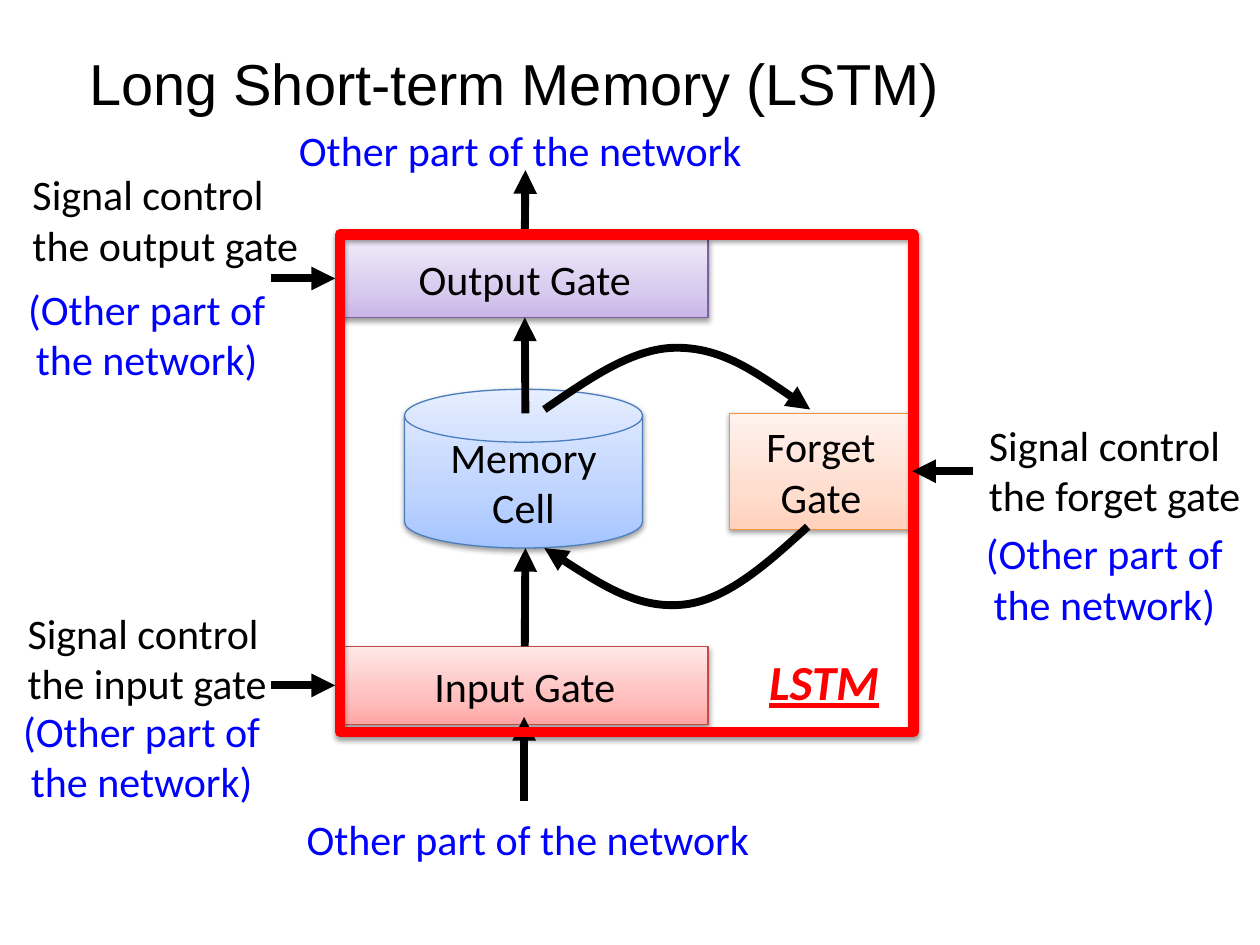
"""Build the slide on the gates and memory cell of an LSTM unit."""
import copy

import pptx
import pptx.util
from lxml import etree
from pptx.dml.color import RGBColor
from pptx.enum.shapes import MSO_CONNECTOR, MSO_SHAPE
from pptx.enum.text import MSO_ANCHOR, PP_ALIGN
from pptx.oxml import parse_xml
from pptx.oxml.ns import nsdecls, qn
from pptx.util import Inches, Pt

THEME = {
    "title_font": "Arial", "body_font": "Calibri",
    "title": Pt(33), "body": Pt(24), "label": Pt(28),
    "edge": Pt(0.75), "arrow": Pt(4.5), "frame": Pt(6),
    "black": "000000", "blue": "0000FF", "red": "FF0000",
    "cell_fill": ("A4C4FF", "BFD4FF", "E6EEFF"), "cell_line": "4B7EBC",
    "input_fill": ("FFA6A5", "FFC0BF", "FFE7E7"), "input_line": "BF4C48",
    "output_fill": ("C9B5E8", "D8CBEE", "F0EAF9"), "output_line": "7D60A0",
    "forget_fill": ("FFD2BD", "FFDED0", "FFF2ED"), "forget_line": "F69240",
}
SHADOW = (
    f'<a:effectLst {nsdecls("a")}><a:outerShdw blurRad="39370" dist="20320" dir="5400000" '
    'rotWithShape="0"><a:srgbClr val="000000"><a:alpha val="38000"/></a:srgbClr>'
    '</a:outerShdw></a:effectLst>'
)


def write(shape, text, color, size=THEME["body"], align=PP_ALIGN.CENTER, font=THEME["body_font"]):
    tf = shape.text_frame
    tf.word_wrap = True
    tf.text = text
    for p in tf.paragraphs:
        p.alignment = align
        p.font.name = font
        p.font.size = size
        p.font.color.rgb = RGBColor.from_string(color)
    return tf


def arrow_line(shape):
    shape.line.color.rgb = RGBColor.from_string(THEME["black"])
    shape.line.width = THEME["arrow"]
    ln = shape.line._get_or_add_ln()
    etree.SubElement(ln, qn("a:tailEnd"), type="triangle")
    etree.SubElement(shape._element.spPr, qn("a:effectLst"))


prs = pptx.Presentation()
prs.slide_width, prs.slide_height = Inches(10), Inches(7.5)
s = prs.slides.add_slide(prs.slide_layouts[5])

title = s.shapes.title
title.left, title.top, title.width, title.height = map(Inches, (0.48, 0.03, 9, 1.25))
tf = write(title, " Long Short-term Memory (LSTM)", THEME["black"], THEME["title"],
           PP_ALIGN.LEFT, THEME["title_font"])
tf.vertical_anchor = MSO_ANCHOR.MIDDLE

blocks = {}
for name, kind, text, box in (
    ("cell", MSO_SHAPE.FLOWCHART_MAGNETIC_DISK, "Memory\nCell", (3.21, 3.09, 1.89, 1.26)),
    ("input", MSO_SHAPE.RECTANGLE, "Input Gate", (2.71, 5.13, 2.91, 0.62)),
    ("output", MSO_SHAPE.RECTANGLE, "Output Gate", (2.71, 1.9, 2.91, 0.62)),
    ("forget", MSO_SHAPE.RECTANGLE, "Forget Gate", (5.79, 3.28, 1.45, 0.92)),
):
    sp = s.shapes.add_shape(kind, *map(Inches, box))
    sp.fill.gradient()
    sp.fill.gradient_angle = 90
    stops = sp._element.spPr.find(qn("a:gradFill")).find(qn("a:gsLst"))
    stops.insert(1, copy.deepcopy(stops[0]))
    for stop, pos, color in zip(sp.fill.gradient_stops, (0, 0.35, 1), THEME[f"{name}_fill"]):
        stop.position = pos
        stop.color.rgb = RGBColor.from_string(color)
    sp.line.color.rgb = RGBColor.from_string(THEME[f"{name}_line"])
    sp.line.width = THEME["edge"]
    sp._element.spPr.append(parse_xml(SHADOW))
    write(sp, text, THEME["black"]).vertical_anchor = MSO_ANCHOR.MIDDLE
    blocks[name] = sp

for gate, box in (
    ("input", (0.12, 4.77, 2.28, 0.91)),
    ("output", (0.16, 1.29, 2.47, 0.91)),
    ("forget", (7.75, 3.28, 2.28, 0.91)),
):
    tb = s.shapes.add_textbox(*map(Inches, box))
    write(tb, f"Signal control the {gate} gate", THEME["black"], align=PP_ALIGN.LEFT)

for text, box in (
    ("Other part of the network", (2.21, 6.41, 3.96, 0.5)),
    ("Other part of the network", (2.15, 0.94, 3.96, 0.5)),
    ("(Other part of the network)", (0.1, 2.2, 2.13, 0.91)),
    ("(Other part of the network)", (0.06, 5.55, 2.13, 0.91)),
    ("(Other part of the network)", (7.7, 4.14, 2.13, 0.91)),
):
    write(s.shapes.add_textbox(*map(Inches, box)), text, THEME["blue"])

arrows = {}
for name, ends in (
    ("output signal", (2.15, 2.21, 2.66, 2.21)),
    ("input signal", (2.15, 5.44, 2.66, 5.44)),
    ("network to input", (4.16, 6.36, 4.16, 5.69)),
    ("input to cell", (4.17, 5.13, 4.17, 4.35)),
    ("output to network", (4.17, 1.9, 4.17, 1.35)),
    ("cell to output", (4.17, 3.28, 4.17, 2.52)),
):
    arrows[name] = s.shapes.add_connector(MSO_CONNECTOR.STRAIGHT, *map(Inches, ends))
    arrow_line(arrows[name])
arrows["input to cell"].begin_connect(blocks["input"], 0)
arrows["output to network"].begin_connect(blocks["output"], 0)
arrows["cell to output"].end_connect(blocks["output"], 2)

for start, *points in (
    ((4.32, 3.25), (4.67, 3.01), (5.02, 2.76), (5.37, 2.76), (5.73, 2.76), (6.08, 3.01), (6.43, 3.25)),
    ((6.41, 4.18), (6.08, 4.48), (5.76, 4.77), (5.41, 4.8), (5.06, 4.83), (4.69, 4.59), (4.32, 4.35)),
):
    fb = s.shapes.build_freeform(*map(Inches, start))
    fb.add_line_segments([(Inches(x), Inches(y)) for x, y in points], close=False)
    curve = fb.convert_to_shape()
    curve.fill.background()
    arrow_line(curve)
    segments = list(curve._element.spPr.iter(qn("a:lnTo")))
    outline = segments[0].getparent()
    for i in range(0, len(segments), 3):
        bezier = etree.SubElement(outline, qn("a:cubicBezTo"))
        for segment in segments[i:i + 3]:
            bezier.append(segment[0])
            outline.remove(segment)

frame = s.shapes.add_shape(MSO_SHAPE.RECTANGLE, *map(Inches, (2.7, 1.86, 4.55, 3.95)))
frame.fill.background()
frame.line.color.rgb = RGBColor.from_string(THEME["red"])
frame.line.width = THEME["frame"]
etree.SubElement(frame.line._get_or_add_ln(), qn("a:round"))
frame._element.spPr.append(parse_xml(SHADOW))

label = s.shapes.add_textbox(*map(Inches, (5.91, 5.12, 1.26, 0.57)))
p = write(label, "LSTM", THEME["red"], THEME["label"]).paragraphs[0]
p.font.bold = p.font.italic = p.font.underline = True

forget_signal = s.shapes.add_connector(
    MSO_CONNECTOR.STRAIGHT, *map(Inches, (7.72, 3.74, 7.24, 3.74)))
arrow_line(forget_signal)
forget_signal.end_connect(blocks["forget"], 3)

prs.save("out.pptx")
